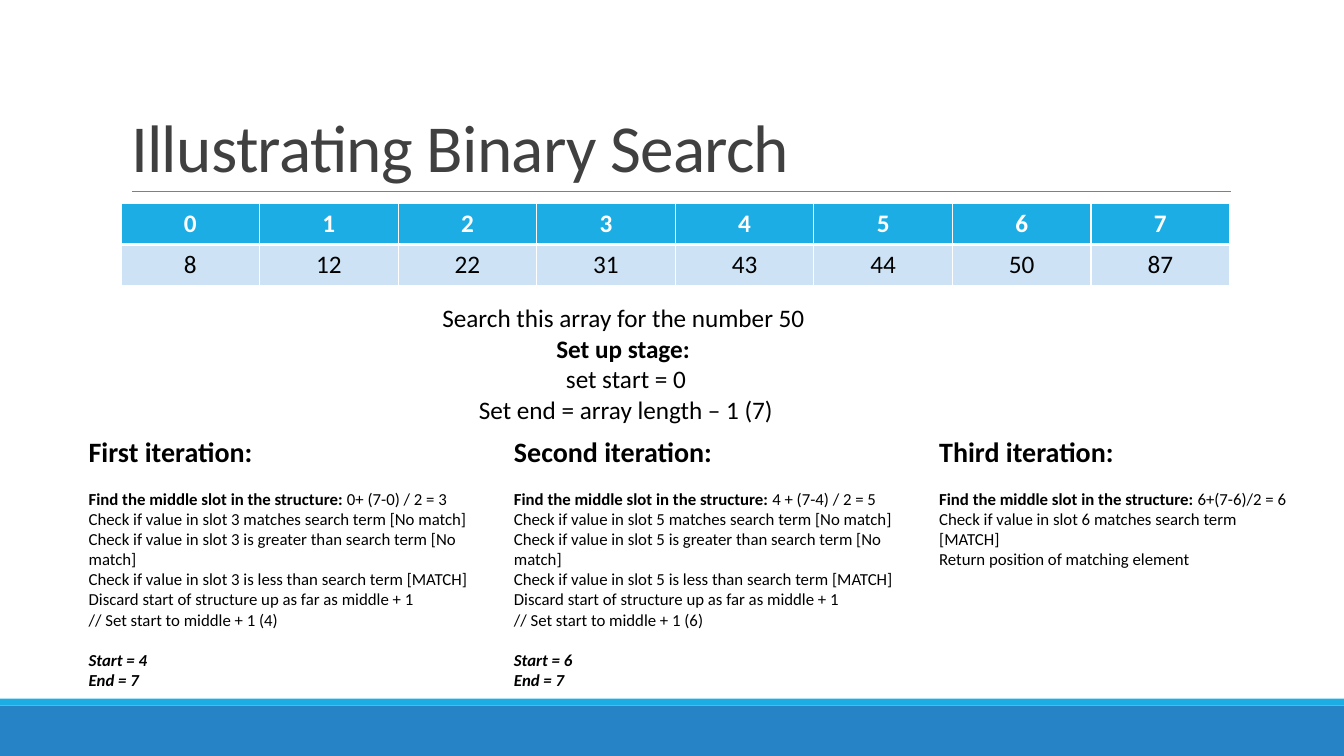
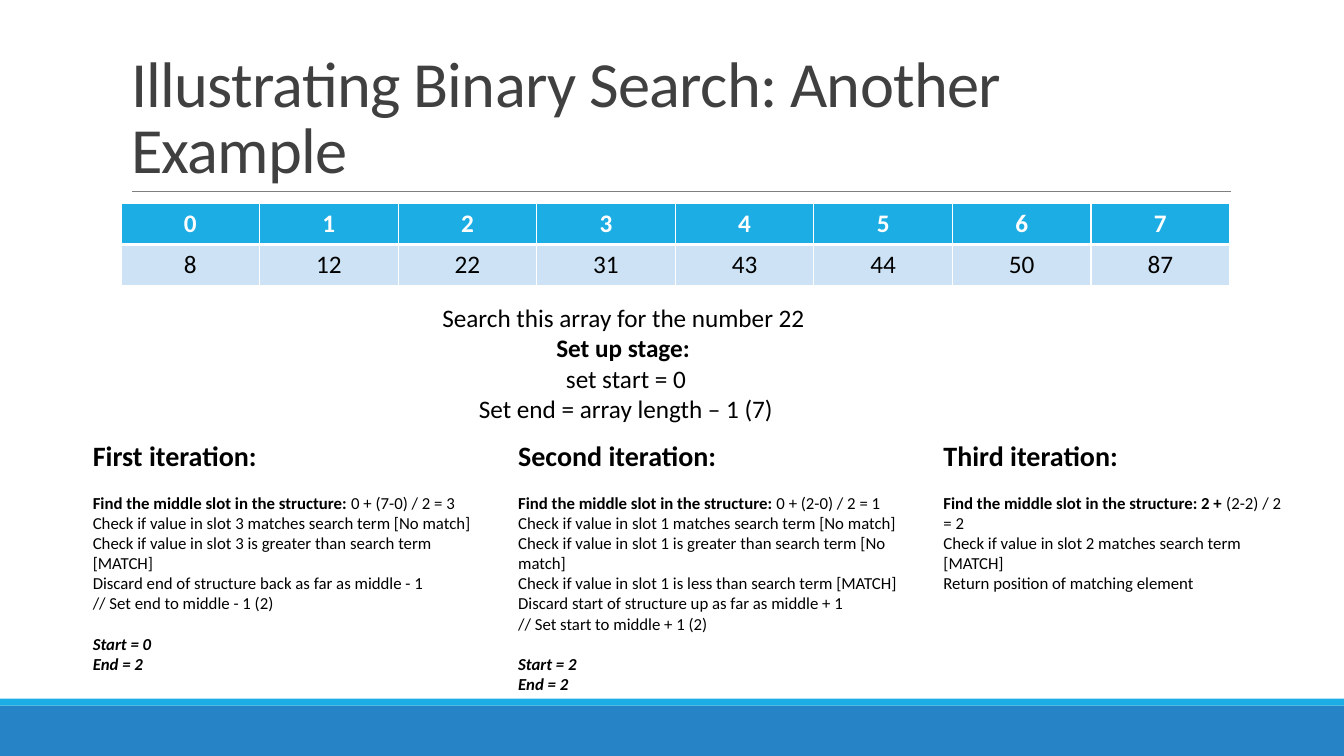
from pptx import Presentation as Deck
from pptx.dml.color import RGBColor as RGB
from pptx.enum.shapes import MSO_CONNECTOR as LINK, MSO_SHAPE as SHAPE
from pptx.enum.text import MSO_ANCHOR as ANCHOR, MSO_AUTO_SIZE as FIT, PP_ALIGN as ALIGN
from pptx.oxml.ns import qn
from pptx.util import Pt
from lxml.etree import SubElement as Sub

WIDE, HIGH = 960, 540
COLORS = {"band": "2683C6", "accent": "1CADE4", "cell": "CDE3F5", "rule": "808080",
          "title": "404040", "text": "000000", "white": "FFFFFF"}

TITLE = {"size": Pt(48), "color": "title"}
HEAD = {"size": Pt(20), "bold": True}
LEAD = {"size": Pt(12), "bold": True}
STEP = {"size": Pt(12)}
STATE = {"size": Pt(12), "bold": True, "italic": True}
BIG = {"size": Pt(18)}
BOLD = {"size": Pt(18), "bold": True}

GAP = Pt(14.6)
LEFT, PITCH, WIDTH, RIGHT = 56.2, 303.8, 296.6, 928.1
ARRAY = [8, 12, 22, 31, 43, 44, 50, 87]
FIND = "Find the middle slot in the structure: "
FOUND = "Return position of matching element"


def check(slot, *tests):
    """Word the tests on a slot; each test is a pair of verb and outcome."""
    return [f"Check if value in slot {slot} {verb} search term [{end}]" for verb, end in tests]


MISS, HIT = ("matches", "No match"), ("matches", "MATCH")
LOW = [MISS, ("is greater than", "No match"), ("is less than", "MATCH")]
HIGHER = [MISS, ("is greater than", "MATCH")]


def upper(slot):
    """Steps that keep the part above the slot."""
    return check(slot, *LOW) + ["Discard start of structure up as far as middle + 1",
                                f"// Set start to middle + 1 ({slot + 1})"]


def lower(slot):
    """Steps that keep the part below the slot."""
    return check(slot, *HIGHER) + ["Discard end of structure back as far as middle - 1",
                                   f"// Set end to middle - 1 ({slot - 1})"]


# Each round: bold lead, sum, steps, start and end, box height
SLIDES = [
    {"title": "Illustrating Binary Search", "size": 48, "goal": 50,
     "left": LEFT, "top": 306.7, "setup": 234.7,
     "rounds": [
         (FIND, "0+ (7-0) / 2 = 3", upper(3), (4, 7), 191.5),
         (FIND, "4 + (7-4) / 2 = 5", upper(5), (6, 7), 191.5),
         (FIND, "6+(7-6)/2 = 6", check(6, HIT) + [FOUND], (), 104.4)]},
    {"title": "Illustrating Binary Search: Another Example", "size": 46, "goal": 22,
     "left": LEFT + 3, "top": 309.6, "setup": 234,
     "rounds": [
         (FIND, "0 + (7-0) / 2 = 3", lower(3), (0, 2), 177.1),
         (FIND, "0 + (2-0) / 2 = 1", upper(1), (2, 2), 191.5),
         (FIND + "2 + ", "(2-2) / 2 = 2", check(2, HIT) + [FOUND], (), 118.8)]},
]


def color(name):
    return RGB.from_string(COLORS[name])


def write(para, text, look):
    run = para.add_run()
    run.text = text
    vals = {"name": "Calibri", "bold": False, "color": "text", **look}
    run.font.color.rgb = color(vals.pop("color"))
    for key, val in vals.items():
        setattr(run.font, key, val)


def box(slide, area, lines, align=ALIGN.LEFT):
    """Add text; each line is its runs and the space before it."""
    frame = slide.shapes.add_textbox(*map(Pt, area)).text_frame
    frame.word_wrap = True
    frame.auto_size = FIT.SHAPE_TO_FIT_TEXT
    for i, (runs, gap) in enumerate(lines):
        para = frame.add_paragraph() if i else frame.paragraphs[0]
        para.alignment = align
        para.space_before = gap
        for text, look in runs:
            write(para, text, look)


def theme(slide):
    """Draw the bands and the rule, then move them to the layout."""
    parts = []
    for top, high, fill in [(504, 36, "band"), (499, 5, "accent")]:
        band = slide.shapes.add_shape(SHAPE.RECTANGLE, 0, Pt(top), Pt(WIDE), Pt(high))
        band.shadow.inherit = False
        band.fill.solid()
        band.fill.fore_color.rgb = color(fill)
        band.line.fill.background()
        parts.append(band)
    rule = slide.shapes.add_connector(LINK.STRAIGHT, Pt(94.3), Pt(136.8), Pt(879.1), Pt(136.8))
    rule.line.color.rgb = color("rule")
    rule.line.width = Pt(0.5)
    Sub(rule.element.spPr, qn("a:effectLst"))
    for part in parts + [rule]:
        slide.slide_layout.shapes.element.append(part.element)


def title(slide, text, size):
    shape = slide.shapes.title
    area = {"left": 86.4, "top": 22.3, "width": 792, "height": 114.5}
    for key, val in area.items():
        setattr(shape, key, Pt(val))
    frame = shape.text_frame
    look = {"vertical_anchor": ANCHOR.BOTTOM, "word_wrap": True, "auto_size": FIT.NONE}
    for key, val in look.items():
        setattr(frame, key, val)
    para = frame.paragraphs[0]
    para.alignment = ALIGN.LEFT
    para.line_spacing = 0.85
    write(para, text, {**TITLE, "size": Pt(size)})
    for props in shape.element.iter(qn("a:rPr")):
        props.set("spc", "-50")


def border(cell, widths):
    props = cell.get_or_add_tcPr()
    for side, width in widths.items():
        line = Sub(props, qn(f"a:ln{side}"), w=str(Pt(width)))
        Sub(Sub(line, qn("a:solidFill")), qn("a:srgbClr"), val=COLORS["white"])


def grid(slide):
    """Add the array as a table of slots and values."""
    count = len(ARRAY)
    frame = slide.shapes.add_table(2, count, Pt(86.4), Pt(145.4), Pt(99 * count), Pt(58.4))
    for i, cell in enumerate(frame.element.iter(qn("a:tc"))):
        edge = 3 if i < count else 1
        border(cell, {"L": 1, "R": 1, "T": 1 if i < count else 3, "B": edge})
    rows = [(range(count), "accent", {**BOLD, "color": "white"}), (ARRAY, "cell", BIG)]
    for r, (vals, fill, look) in enumerate(rows):
        for c, val in enumerate(vals):
            cell = frame.table.cell(r, c)
            cell.fill.solid()
            cell.fill.fore_color.rgb = color(fill)
            para = cell.text_frame.paragraphs[0]
            para.alignment = ALIGN.CENTER
            write(para, str(val), look)


def setup(slide, goal, top):
    box(slide, (308.9, 212.4, 276.5, 29),
        [([(f"Search this array for the number {goal}", BIG)], 0)])
    lines = [("Set up stage: ", BOLD), ("set start = 0", BIG),
             ("Set end = array length – 1 (7)", BIG)]
    box(slide, (308.9, top, 276.5, 72.7), [([line], 0) for line in lines], ALIGN.CENTER)


def rounds(slide, left, top, items):
    """Set the iterations side by side."""
    names = ["First", "Second", "Third"]
    for i, (name, (lead, total, steps, state, high)) in enumerate(zip(names, items)):
        lines = [([(f"{name} iteration:", HEAD)], 0),
                 ([(lead, LEAD), (total, STEP)], GAP)]
        lines += [([(step, STEP)], 0) for step in steps]
        for word, val, gap in zip(["Start", "End"], state, [GAP, 0]):
            lines.append(([(f"{word} = {val}", STATE)], gap))
        x = left + i * PITCH
        box(slide, (x, top, min(WIDTH, RIGHT - x), high), lines)


def main():
    deck = Deck()
    deck.slide_width, deck.slide_height = Pt(WIDE), Pt(HIGH)
    for i, data in enumerate(SLIDES):
        slide = deck.slides.add_slide(deck.slide_layouts[5])
        if i == 0:
            theme(slide)
        title(slide, data["title"], data["size"])
        grid(slide)
        setup(slide, data["goal"], data["setup"])
        rounds(slide, data["left"], data["top"], data["rounds"])
    deck.save("out.pptx")


if __name__ == "__main__":
    main()
